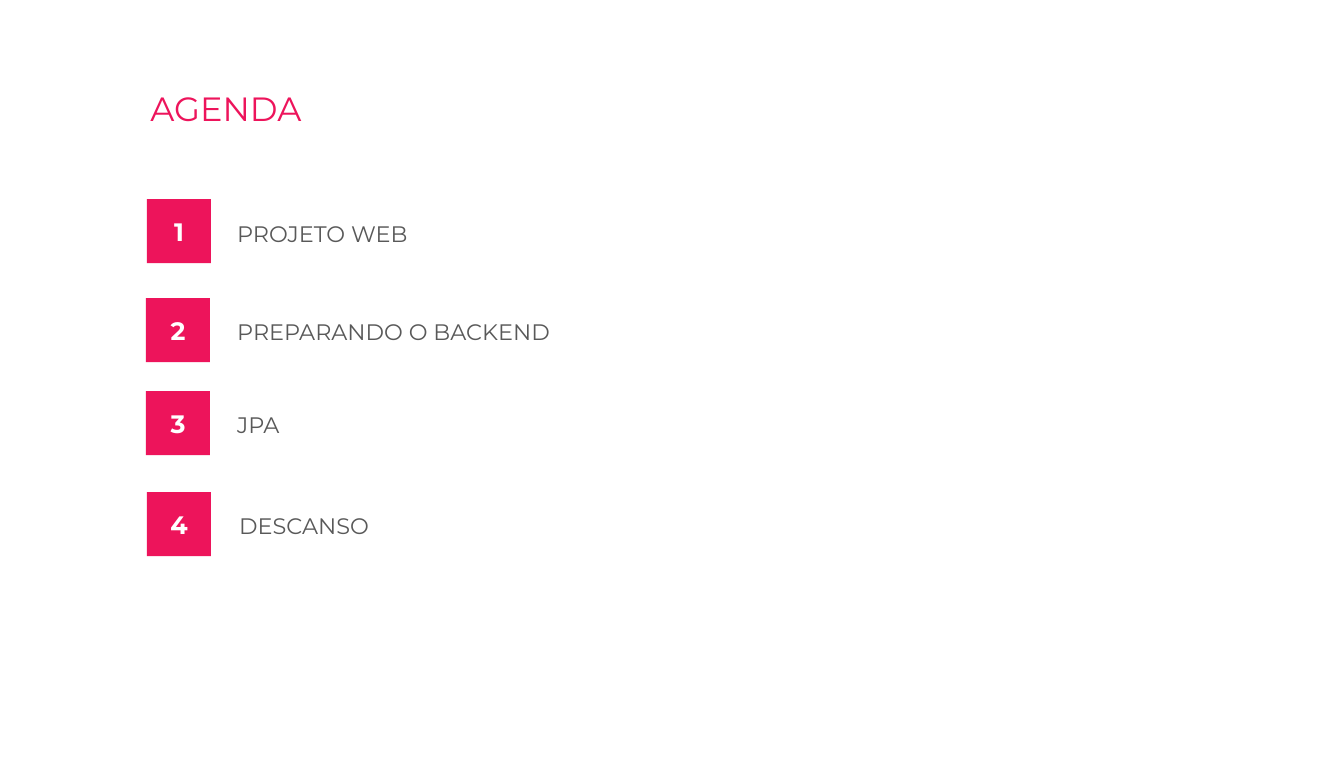
from pptx import Presentation
from pptx import util as u
from pptx.dml.color import RGBColor
from pptx.enum import shapes, text

SCALE = 914400 / 134.4
FONT = "Montserrat"
COLOURS = {"accent": "ED145B", "label": "595959", "badge_text": "FFFFFF"}
BADGE_SIZE = 64
TOPICS = [
    ("PROJETO WEB", (147, 199), (224, 197, 683, 59), 1.5),
    ("PREPARANDO O BACKEND", (146, 298), (224, 311, 860, 40), 1),
    ("JPA", (146, 391), (224, 404, 813, 40), 1),
    ("DESCANSO", (147, 492), (226, 505, 813, 40), 1),
]


def px(length):
    return u.Emu(round(length * SCALE))


def colour(name):
    return RGBColor.from_string(COLOURS[name])


def write(box, words, size, colour_name, anchor, align=text.PP_ALIGN.LEFT, bold=False):
    frame = box.text_frame
    frame.text = words
    frame.word_wrap = True
    frame.auto_size = text.MSO_AUTO_SIZE.NONE
    frame.vertical_anchor = anchor
    para = frame.paragraphs[0]
    para.alignment = align
    para.space_before = u.Pt(0)
    span = para.runs[0]
    span.font.name = FONT
    span.font.size = u.Pt(size)
    span.font.bold = bold
    span.font.color.rgb = colour(colour_name)
    return para


def add_title(page, words):
    title = page.shapes.title
    title.left, title.top, title.width, title.height = map(px, (137, 81, 562, 54))
    para = write(title, words, 18, "accent", text.MSO_ANCHOR.TOP)
    para.line_spacing = 1


def add_label(page, words, bounds, line_spacing):
    box = page.shapes.add_textbox(*map(px, bounds))
    para = write(box, words, 12, "label", text.MSO_ANCHOR.MIDDLE)
    para.line_spacing = line_spacing


def add_badge(page, number, left, top):
    badge = page.shapes.add_shape(
        shapes.MSO_SHAPE.RECTANGLE, *map(px, (left, top, BADGE_SIZE, BADGE_SIZE))
    )
    badge.shadow.inherit = False
    badge.fill.solid()
    badge.fill.fore_color.rgb = colour("accent")
    badge.line.fill.background()
    write(badge, str(number), 13.5, "badge_text", text.MSO_ANCHOR.MIDDLE,
          text.PP_ALIGN.CENTER, True)


def main():
    deck = Presentation()
    deck.slide_width, deck.slide_height = u.Inches(10), u.Inches(5.63)
    page = deck.slides.add_slide(deck.slide_layouts[5])
    add_title(page, "AGENDA")
    for number, (words, corner, bounds, line_spacing) in enumerate(TOPICS, 1):
        add_label(page, words, bounds, line_spacing)
        add_badge(page, number, *corner)
    deck.save("out.pptx")


if __name__ == "__main__":
    main()
